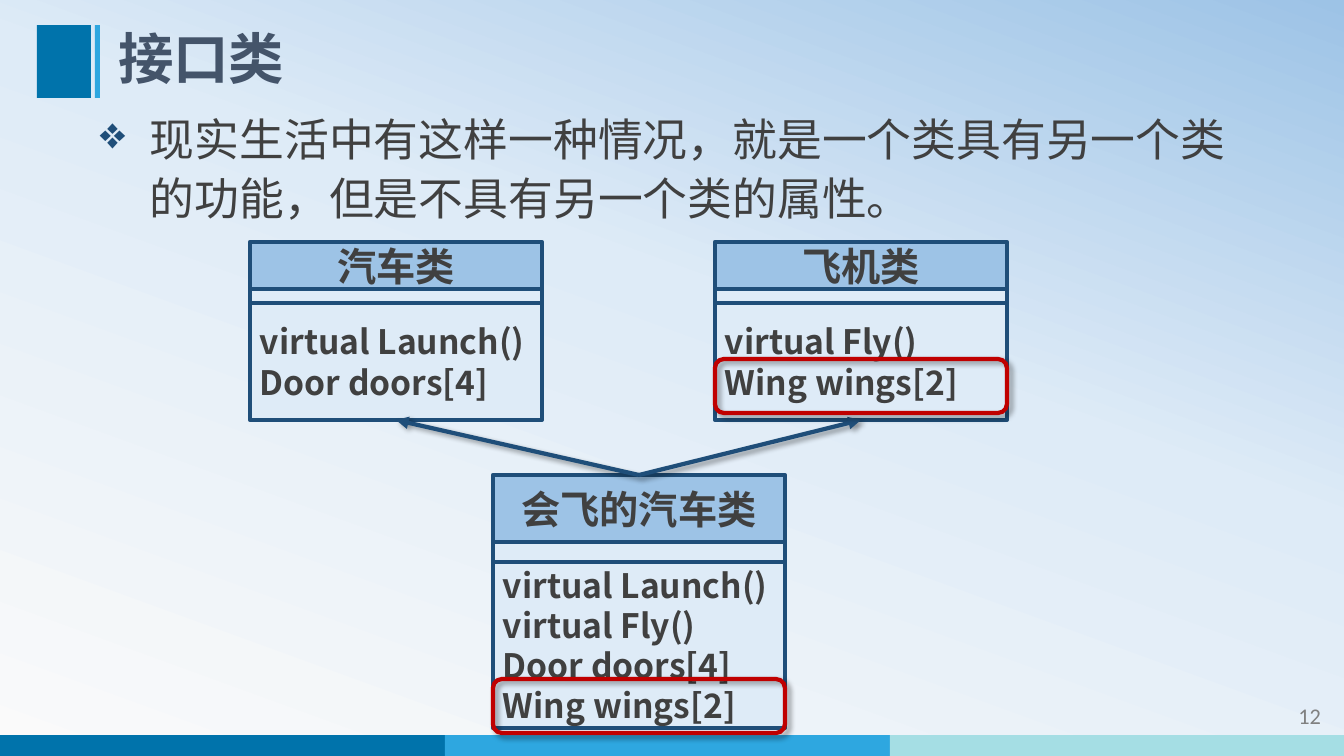
from copy import deepcopy
from dataclasses import dataclass

from lxml import etree
from pptx import Presentation
from pptx.dml.color import RGBColor
from pptx.enum.shapes import MSO_CONNECTOR, MSO_SHAPE
from pptx.enum.text import MSO_ANCHOR, MSO_AUTO_SIZE, PP_ALIGN
from pptx.oxml.ns import qn
from pptx.util import Pt

RECT, ROUNDED = MSO_SHAPE.RECTANGLE, MSO_SHAPE.ROUNDED_RECTANGLE
STRAIGHT = MSO_CONNECTOR.STRAIGHT
TOP, MIDDLE = MSO_ANCHOR.TOP, MSO_ANCHOR.MIDDLE
LEFT, CENTER, RIGHT = PP_ALIGN.LEFT, PP_ALIGN.CENTER, PP_ALIGN.RIGHT
TITLE_ONLY = 5
TOP_SITE, BOTTOM_SITE = 0, 2
EMU_PER_PIXEL = 914400 / 100.8


@dataclass(frozen=True)
class Theme:
    """Colours, fonts and type sizes of the slide."""
    deep: str = "0073AB"
    bright: str = "2EA7E0"
    aqua: str = "A5DEE4"
    navy: str = "1F4E79"
    header: str = "9DC3E6"
    pale: str = "DEEBF7"
    white: str = "FAFAFA"
    red: str = "C00000"
    title: str = "44546A"
    text: str = "404040"
    grey: str = "808080"
    cjk: str = "Noto Sans CJK SC"
    code: str = "Courier New"
    number: str = "Calibri"
    title_size: float = 39.6
    lead_size: float = 32
    name_size: float = 28
    member_size: float = 24
    number_size: float = 16
    line: float = 3


THEME = Theme()


def px(value):
    """Turn pixels into EMU."""
    return round(value * EMU_PER_PIXEL)


def rgb(colour):
    """Turn a hex string into a colour."""
    return RGBColor.from_string(colour)


def add_child(parent, tag, **attributes):
    """Append a drawing element with the given attributes."""
    child = etree.SubElement(parent, qn(tag))
    for name, value in attributes.items():
        child.set(name, str(value))
    return child


def add_shadow(shape):
    """Give a shape a soft shadow towards the lower right."""
    effects = add_child(shape._element.spPr, "a:effectLst")
    shadow = add_child(effects, "a:outerShdw", blurRad=Pt(4), dist=Pt(3),
                       dir=45 * 60000, algn="tl", rotWithShape=0)
    colour = add_child(shadow, "a:srgbClr", val="000000")
    add_child(colour, "a:alpha", val=40000)


def add_block(shapes, kind, box, fill=None, line=None):
    """Draw a preset shape with an optional fill and outline."""
    shape = shapes.add_shape(kind, *map(px, box))
    if fill:
        shape.fill.solid()
        shape.fill.fore_color.rgb = rgb(fill)
    else:
        shape.fill.background()
    if line:
        shape.line.color.rgb = rgb(line)
        shape.line.width = Pt(THEME.line)
    else:
        shape.line.fill.background()
    return shape


def write(shape, lines, size, colour, font=THEME.cjk, bold=False, align=LEFT, anchor=TOP):
    """Write one paragraph per line and return the paragraphs."""
    frame = shape.text_frame
    frame.word_wrap = True
    frame.auto_size = MSO_AUTO_SIZE.NONE
    frame.vertical_anchor = anchor
    for index, line in enumerate(lines):
        para = frame.add_paragraph() if index else frame.paragraphs[0]
        para.alignment = align
        span = para.add_run()
        span.text = line
        span.font.name = font
        span.font.size = Pt(size)
        span.font.bold = bold
        span.font.color.rgb = rgb(colour)
        add_child(span.font._element, "a:ea", typeface=THEME.cjk)
    return frame.paragraphs


def paint_background(page):
    """Fill the page with the three-stop gradient."""
    fill = page.background.fill
    fill.gradient()
    fill.gradient_angle = 70
    stop_list = page._element.find(".//" + qn("a:gsLst"))
    stop_list.append(deepcopy(stop_list[-1]))
    stops = ((0, THEME.white), (0.58, THEME.pale), (1, THEME.header))
    for stop, (position, colour) in zip(fill.gradient_stops, stops):
        stop.position = position
        stop.color.rgb = rgb(colour)


def add_footer(page, box):
    """Draw the three-colour band and the slide number above it."""
    left, top, width, height = box
    step, length = 445, 454
    band = page.shapes.add_group_shape()
    for index, colour in enumerate((THEME.deep, THEME.bright, THEME.aqua)):
        block = add_block(band.shapes, RECT, (left + index * step, top, length, height), colour)
        block.shadow.inherit = False
    number = page.shapes.add_textbox(*map(px, (left + width - 173, top - 38, 160, 40)))
    write(number, ["12"], THEME.number_size, THEME.grey, THEME.number, align=RIGHT)


def add_heading(page, box, text):
    """Draw the heading marks and place the title beside them."""
    left, top, width, height = box
    for offset, length, colour in ((0, 54, THEME.deep), (58, 5, THEME.bright)):
        mark = add_block(page.shapes, RECT, (left + offset, top, length, height), colour)
        mark.shadow.inherit = False
    title = page.shapes.title
    title.left, title.top, title.width, title.height = map(px, (left + 71, top, width - 71, height))
    para = write(title, [text], THEME.title_size, THEME.title, bold=True, anchor=MIDDLE)[0]
    para.line_spacing = 0.9


def add_lead(page, box, text):
    """Write the bulleted lead sentence."""
    lead = page.shapes.add_textbox(*map(px, box))
    para = write(lead, [text], THEME.lead_size, THEME.text)[0]
    para.line_spacing = 1.1
    para.space_before = Pt(THEME.lead_size / 10)
    props = para._element.get_or_add_pPr()
    props.set("marL", str(px(62)))
    props.set("indent", str(-px(50)))
    colour = add_child(props, "a:buClr")
    add_child(colour, "a:srgbClr", val=THEME.navy)
    add_child(props, "a:buChar", char="❖")


def add_class(page, box, name, members, header, strip):
    """Draw a class card and return its header and member blocks."""
    left, top, width, height = box
    card = page.shapes.add_group_shape()
    blocks = []
    rows = ((header, THEME.header), (strip, THEME.pale), (height - header - strip, THEME.pale))
    for row_height, fill in rows:
        block = add_block(card.shapes, RECT, (left, top, width, row_height), fill, THEME.navy)
        block.shadow.inherit = False
        blocks.append(block)
        top += row_height
    head, _, body = blocks
    write(head, [name], THEME.name_size, THEME.text, THEME.code, True, CENTER, MIDDLE)
    write(body, members, THEME.member_size, THEME.text, bold=True, anchor=MIDDLE)
    return head, body


def add_inheritance(page, child_head, parent_body):
    """Draw an arrow from a derived class up to its base class."""
    arrow = page.shapes.add_connector(STRAIGHT, 0, 0, 0, 0)
    arrow.begin_connect(child_head, TOP_SITE)
    arrow.end_connect(parent_body, BOTTOM_SITE)
    arrow.line.color.rgb = rgb(THEME.navy)
    arrow.line.width = Pt(THEME.line)
    add_child(arrow.line._get_or_add_ln(), "a:tailEnd", type="triangle")
    add_shadow(arrow)


def add_diagram(page, box):
    """Draw the two base classes, the derived class and the marked members."""
    left, top, _, _ = box
    width, plane_left, child_left = 292, left + 465, left + 243
    launch, fly, doors, wings = "virtual Launch()", "virtual Fly()", "Door doors[4]", "Wing wings[2]"
    _, car = add_class(page, (left, top, width, 178), "汽车类", [launch, doors], 47, 14)
    _, plane = add_class(page, (plane_left, top, width, 178), "飞机类", [fly, wings], 47, 14)
    child, _ = add_class(page, (child_left, top + 233, width, 253), "会飞的汽车类",
                         [launch, fly, doors, wings], 67, 20)
    for parent in (car, plane):
        add_inheritance(page, child, parent)
    for mark_left, offset in ((plane_left, 117), (child_left, 437)):
        mark = add_block(page.shapes, ROUNDED, (mark_left, top + offset, width, 54), line=THEME.red)
        add_shadow(mark)


deck = Presentation()
deck.slide_width, deck.slide_height = px(1344), px(756)
page = deck.slides.add_slide(deck.slide_layouts[TITLE_ONLY])
paint_background(page)
add_footer(page, (0, 735, 1344, 21))
add_heading(page, (37, 25, 1166, 73), "接口类")
add_lead(page, (78, 101, 1188, 140),
         "现实生活中有这样一种情况，就是一个类具有另一个类的功能，但是不具有另一个类的属性。")
add_diagram(page, (250, 242, 757, 486))
deck.save("out.pptx")
